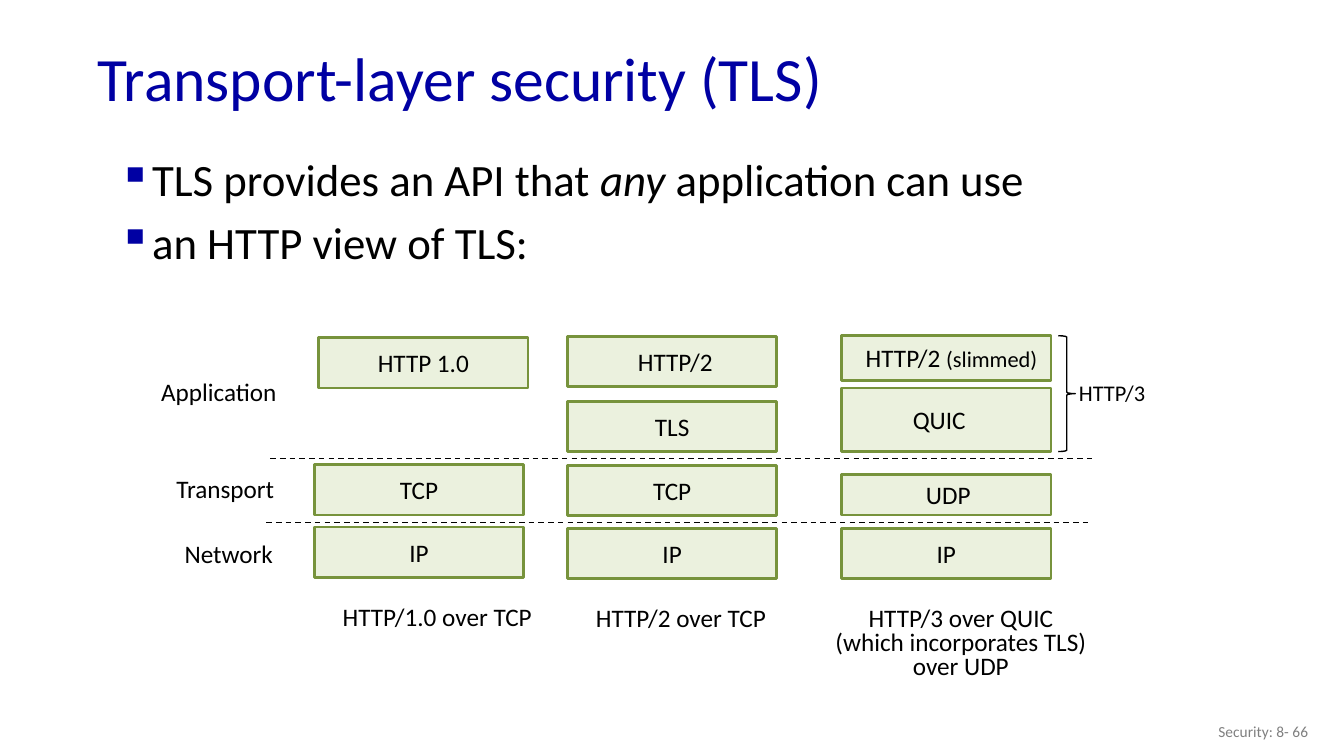
from lxml.etree import SubElement
from pptx import Presentation
from pptx.dml.color import RGBColor
from pptx.enum.dml import MSO_LINE
from pptx.enum.shapes import MSO_CONNECTOR, MSO_SHAPE as Kind
from pptx.enum.text import MSO_ANCHOR as Anchor, PP_ALIGN as Align
from pptx.oxml.ns import qn
from pptx.util import Cm, Pt

FONT = "Calibri"
COLORS = {"title": "0000A3", "text": "000000", "page": "808080",
          "fill": "EBF1DE", "edge": "77933C"}

TITLE = "Transport-layer security (TLS)"
PAGE = "Security: 8- 66"
POINTS = [
    [("TLS provides an API that ", {}), ("any", {"italic": True}),
     (" application can use", {})],
    [("an HTTP view of TLS:", {})],
]

BOX_W, BOX_H = 5.28, 1.27
# left, top, height, text shift, runs
STACKS = [
    (8.03, 8.51, BOX_H, 0, [("HTTP 1.0", {})]),
    (7.92, 11.71, BOX_H, 0, [("TCP", {})]),
    (7.92, 13.28, BOX_H, 0, [("IP", {})]),
    (14.3, 8.48, BOX_H, 0.08, [("HTTP/2", {})]),
    (14.3, 10.11, BOX_H, 0, [("TLS", {})]),
    (14.3, 11.73, BOX_H, 0, [("TCP", {})]),
    (14.3, 13.31, BOX_H, 0, [("IP", {})]),
    (21.21, 8.46, 1.12, 0.13, [("HTTP/2 ", {}), ("(slimmed)", {"size": 16})]),
    (21.21, 9.78, 1.6, -0.18, [("QUIC", {})]),
    (21.21, 11.96, 1.02, 0.05, [("UDP", {})]),
    (21.21, 13.31, BOX_H, 0, [("IP", {})]),
]
LABELS = [
    ("Application", 18, (3.38, 9.37, 3.84, 1.02)),
    ("Transport", 18, (3.76, 11.79, 3.4, 1.02)),
    ("Network", 18, (3.73, 13.44, 3.4, 1.02)),
    ("HTTP/3", 16, (26.62, 9.42, 2.49, 0.94)),
]
NOTES = [
    (["HTTP/1.0 over TCP"], 1, (8.33, 15.04, 5.38, 1.02)),
    (["HTTP/2 over TCP"], 1, (14.71, 15.06, 4.9, 1.02)),
    (["HTTP/3 over QUIC", "(which incorporates TLS)", "over UDP"], 0.8,
     (20.75, 15.19, 6.93, 2.11)),
]
RULES = [(6.81, 27.51, 11.56), (6.71, 27.46, 13.16)]
BRACE = (26.67, 8.46, 0.43, 2.92)


def tint(name):
    return RGBColor.from_string(COLORS[name])


def write(frame, paras, size=18, color="text", align=Align.LEFT, gap=None):
    for i, runs in enumerate(paras):
        para = frame.paragraphs[0] if i == 0 else frame.add_paragraph()
        para.alignment = align
        if gap:
            para.line_spacing = gap
        for words, style in runs:
            run = para.add_run()
            run.text = words
            run.font.name = FONT
            run.font.size = Pt(style.get("size", size))
            run.font.italic = style.get("italic", False)
            run.font.color.rgb = tint(color)


def add_text(slide, spot, paras, anchor=Anchor.TOP, wrap=True, **look):
    frame = slide.shapes.add_textbox(*map(Cm, spot)).text_frame
    frame.word_wrap = wrap
    frame.vertical_anchor = anchor
    write(frame, paras, **look)
    return frame


def add_shape(slide, kind, spot, edge, width):
    shape = slide.shapes.add_shape(kind, *map(Cm, spot))
    shape.shadow.inherit = False
    shape.line.color.rgb = tint(edge)
    shape.line.width = Pt(width)
    return shape


def add_box(slide, left, top, high, shift, runs):
    box = add_shape(slide, Kind.RECTANGLE, (left, top, BOX_W, high), "edge", 2)
    box.fill.solid()
    box.fill.fore_color.rgb = tint("fill")
    frame = box.text_frame
    frame.margin_left = Cm(2 * max(shift, 0))
    frame.margin_right = Cm(2 * max(-shift, 0))
    frame.margin_top = frame.margin_bottom = 0
    frame.vertical_anchor = Anchor.MIDDLE
    write(frame, [runs], align=Align.CENTER)


def add_rule(slide, start, end, y):
    rule = slide.shapes.add_connector(
        MSO_CONNECTOR.STRAIGHT, Cm(start), Cm(y), Cm(end), Cm(y))
    rule.line.color.rgb = tint("text")
    rule.line.width = Pt(1)
    rule.line.dash_style = MSO_LINE.DASH
    SubElement(rule._element.spPr, qn("a:effectLst"))


def add_bullet(para):
    para.space_before = Pt(10)
    props = para._p.get_or_add_pPr()
    props.set("marL", str(Cm(0.79)))
    props.set("indent", str(-Cm(0.79)))
    hue = SubElement(props, qn("a:buClr"))
    SubElement(hue, qn("a:srgbClr"), val=COLORS["title"])
    SubElement(props, qn("a:buChar"), char="▪")


def main():
    """Build the slide on transport-layer security."""
    deck = Presentation()
    deck.slide_width, deck.slide_height = Cm(33.87), Cm(19.05)
    slide = deck.slides.add_slide(deck.slide_layouts[6])

    add_text(slide, (2.21, 0.81, 29.21, 2.49), [[(TITLE, {})]],
             anchor=Anchor.MIDDLE, size=44, color="title", gap=0.9)
    body = add_text(slide, (2.74, 3.86, 30.23, 4.52), POINTS, size=32, gap=0.9)
    for para in body.paragraphs:
        add_bullet(para)

    for item in STACKS:
        add_box(slide, *item)
    for rule in RULES:
        add_rule(slide, *rule)
    brace = add_shape(slide, Kind.RIGHT_BRACE, BRACE, "text", 1)
    brace.fill.background()

    for words, size, spot in LABELS:
        add_text(slide, spot, [[(words, {})]], size=size, align=Align.RIGHT)
    for lines, gap, spot in NOTES:
        add_text(slide, spot, [[(line, {})] for line in lines],
                 wrap=False, align=Align.CENTER, gap=gap)

    add_text(slide, (25.6, 17.91, 7.62, 1.02), [[(PAGE, {})]],
             anchor=Anchor.MIDDLE, size=11, color="page", align=Align.RIGHT)
    deck.save("out.pptx")


if __name__ == "__main__":
    main()
